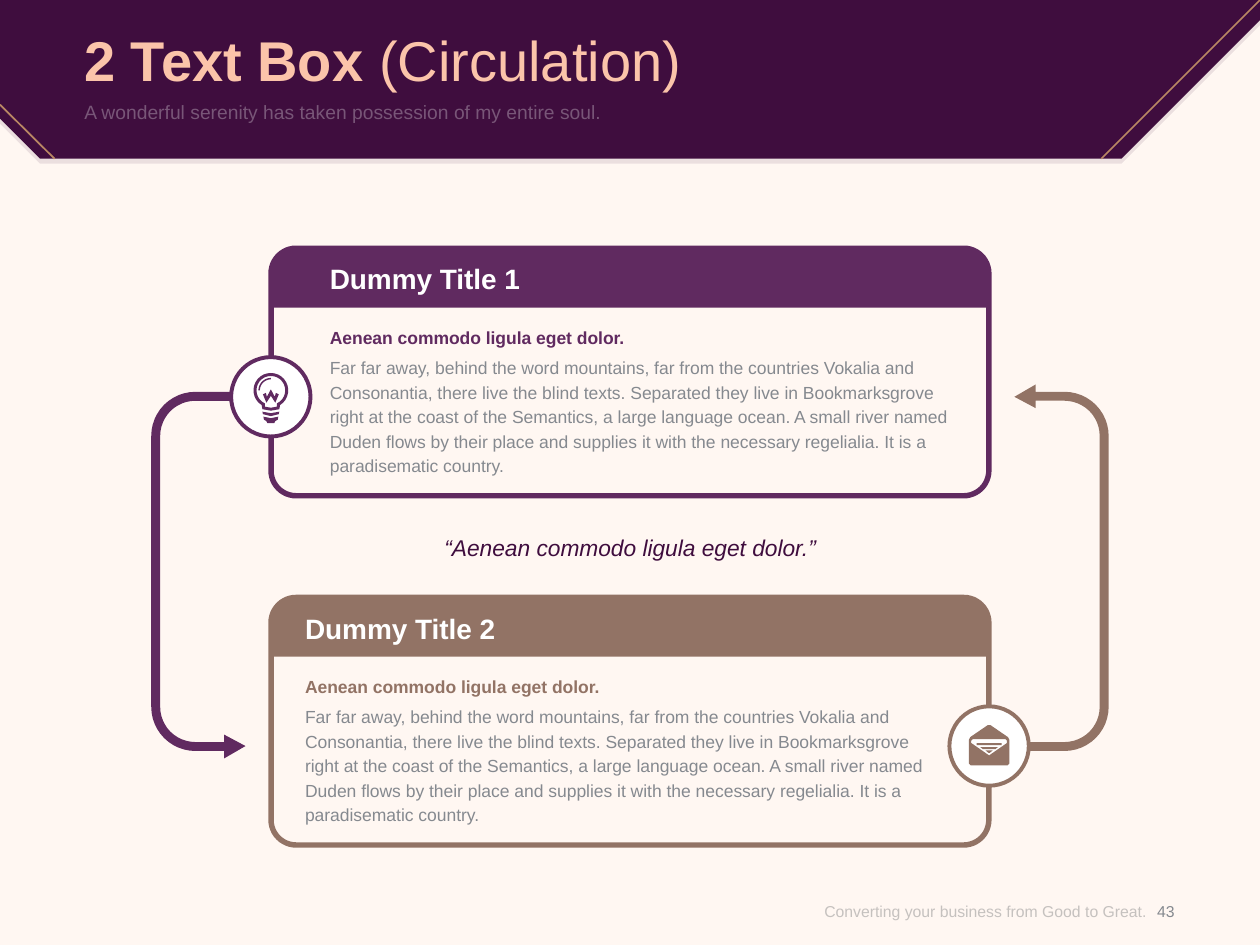
import math
from lxml import etree
from pptx import Presentation
from pptx import util as u
from pptx.dml.color import RGBColor
from pptx.enum import shapes, text
from pptx.oxml.ns import qn

PLUM, PURPLE, BROWN = RGBColor(0x3F, 0x0D, 0x3E), RGBColor(0x60, 0x2A, 0x60), RGBColor(0x92, 0x73, 0x65)
PEACH, GOLD, CREAM = RGBColor(0xFB, 0xC4, 0xAA), RGBColor(0xB9, 0x87, 0x63), RGBColor(0xFF, 0xF7, 0xF2)
GREY, FOOTER_GREY, WHITE = RGBColor(0x85, 0x89, 0x8F), RGBColor(0x8C, 0x8C, 0x8C), RGBColor(0xFF, 0xFF, 0xFF)
WIDTH, HEIGHT = 25.4, 19.05  # all lengths in cm


def arc(radius, start, end, cy=0.0, steps=24):
    """Points on a circle around (0, cy), angles in degrees, clockwise from the right."""
    angles = [math.radians(start + (end - start) * i / steps) for i in range(steps + 1)]
    return [(radius * math.cos(a), cy + radius * math.sin(a)) for a in angles]


def mirrored(right_side):
    """Close a symmetric contour from the points of its right half."""
    return right_side + [(-x, y) for x, y in reversed(right_side)]


# Content
LEAD = "Aenean commodo ligula eget dolor."
BODY = ("Far far away, behind the word mountains, far from the countries Vokalia and Consonantia, "
        "there live the blind texts. Separated they live in Bookmarksgrove right at the coast of the "
        "Semantics, a large language ocean. A small river named Duden flows by their place and supplies "
        "it with the necessary regelialia. It is a paradisematic country.")

BULB_ICON = [
    arc(0.35, 122, 418, -0.13) + [(0.17, 0.25), (0, 0.28), (-0.17, 0.25)],
    arc(0.29, 115, 425, -0.13) + [(0.12, 0.2), (0, 0.22), (-0.12, 0.2)],
    mirrored([(0, 0.33), (0.17, 0.3), (0.16, 0.35), (0, 0.39)]),
    mirrored([(0, 0.43), (0.15, 0.4), (0.14, 0.46), (0.09, 0.49), (0.07, 0.53)]),
    mirrored([(0, -0.15), (0.08, 0), (0.1, -0.08), (0.16, -0.05), (0.09, 0.12), (0, -0.02)]),
    arc(0.25, 180, 270, -0.13) + arc(0.22, 270, 180, -0.13),
]
MAIL_ICON = [
    mirrored([(0.03, -0.42), (0.38, -0.18), (0.41, -0.12), (0.41, 0.35), (0.37, 0.39)]),
    mirrored([(0.33, -0.14), (0.36, -0.11), (0.36, -0.06), (0, 0.19)]),
    mirrored([(0.25, -0.06), (0.25, -0.02)]),
    mirrored([(0.18, 0.02), (0.13, 0.06)]),
    mirrored([(0.07, 0.09), (0.01, 0.14)]),
]
CARDS = [
    {"title": "Dummy Title 1", "colour": PURPLE, "top": 4.95, "text_left": 6.65,
     "badge_x": 5.46, "icon": BULB_ICON},
    {"title": "Dummy Title 2", "colour": BROWN, "top": 11.99, "text_left": 6.15,
     "badge_x": 19.94, "icon": MAIL_ICON},
]
CARD_LEFT, CARD_RIGHT, CARD_HEIGHT, HEAD_HEIGHT = 5.41, 19.99, 5.1, 1.25
BORDER, CARD_RADIUS, BADGE_SIZE, BADGE_DROP = 0.11, 0.56, 1.6, 3.05

HEADER = [(0, 0), (25.4, 0), (25.4, 0.41), (22.61, 3.2), (0.81, 3.2), (0, 2.39)]
HEADER_LINES = [(25.4, 0, 22.2, 3.2), (0, 2.11, 1.1, 3.2)]
# Corners of the left arrow: x, y, radius; the right one is its half turn
ARROW = [(4.65, 7.9, 0), (3.05, 7.9, 0.89), (3.05, 15.14, 0.89), (4.52, 15.14, 0), (4.52, 15.29, 0),
         (4.95, 15.04, 0), (4.52, 14.81, 0), (4.52, 14.96, 0), (3.23, 14.96, 0.71),
         (3.23, 8.08, 0.71), (4.65, 8.08, 0)]
ARROW_TURN_Y = 23.04

prs = Presentation()
prs.slide_width, prs.slide_height = u.Cm(WIDTH), u.Cm(HEIGHT)
slide = prs.slides.add_slide(prs.slide_layouts[6])
slide.background.fill.solid()
slide.background.fill.fore_color.rgb = CREAM


def set_alpha(fill, percent):
    colour = fill._xPr.find(qn("a:solidFill"))[0]
    etree.SubElement(colour, qn("a:alpha"), val=str(percent * 1000))


def rounded(corners):
    """Turn corners (x, y, radius) into points, bending the rounded ones."""
    points = []
    for i, (x, y, radius) in enumerate(corners):
        if not radius:
            points.append((x, y))
            continue
        units = []
        for nx, ny, _ in (corners[i - 1], corners[(i + 1) % len(corners)]):
            length = math.hypot(nx - x, ny - y)
            units.append(((nx - x) / length, (ny - y) / length))
        (ax, ay), (bx, by) = units
        for step in range(13):
            t = math.pi / 2 * step / 12
            a, b = radius * (1 - math.sin(t)), radius * (1 - math.cos(t))
            points.append((x + ax * a + bx * b, y + ay * a + by * b))
    return points


def add_outline(contours, colour, dx=0.0, dy=0.0, alpha=None):
    contours = [[(u.Cm(x + dx), u.Cm(y + dy)) for x, y in points] for points in contours]
    builder = slide.shapes.build_freeform(*contours[0][0])
    for i, points in enumerate(contours):
        if i:
            builder.move_to(*points[0])
        builder.add_line_segments(points[1:], close=True)
    shape = builder.convert_to_shape()
    shape.shadow.inherit = False
    shape.fill.solid()
    shape.fill.fore_color.rgb = colour
    shape.line.fill.background()
    if alpha:
        set_alpha(shape.fill, alpha)


def add_text(box, runs, colour, size, alpha=None, align=text.PP_ALIGN.LEFT,
             anchor=text.MSO_ANCHOR.TOP, spacing=None):
    """Each run is its wording and a dict of extra font values."""
    frame = slide.shapes.add_textbox(*map(u.Cm, box)).text_frame
    frame_format = {"word_wrap": True, "vertical_anchor": anchor, "margin_left": 0,
                    "margin_right": 0, "margin_top": 0, "margin_bottom": 0}
    for key, value in frame_format.items():
        setattr(frame, key, value)
    paragraph = frame.paragraphs[0]
    paragraph.alignment = align
    if spacing:
        paragraph.line_spacing = u.Pt(spacing)
    for wording, extra in runs:
        run = paragraph.add_run()
        run.text = wording
        for key, value in {"name": "Arial", "size": u.Pt(size), **extra}.items():
            setattr(run.font, key, value)
        run.font.color.rgb = colour
        if alpha:
            set_alpha(run.font.fill, alpha)


# Header band with its soft shadow and thin gold lines
add_outline([HEADER], PLUM, dy=0.1, alpha=10)
add_outline([HEADER], PLUM)
for ends in HEADER_LINES:
    line = slide.shapes.add_connector(shapes.MSO_CONNECTOR.STRAIGHT, *map(u.Cm, ends))
    line.line.color.rgb = GOLD
    line.line.width = u.Pt(1)
    etree.SubElement(line._element.spPr, qn("a:effectLst"))

# Circulation arrows
add_outline([rounded(ARROW)], PURPLE)
add_outline([rounded([(WIDTH - x, ARROW_TURN_Y - y, r) for x, y, r in ARROW])], BROWN)

# Cards: frame, badge, icon and text
for card in CARDS:
    top, colour = card["top"], card["colour"]
    bottom, badge_y = top + CARD_HEIGHT, top + BADGE_DROP
    inner_left, inner_right, inner_radius = CARD_LEFT + BORDER, CARD_RIGHT - BORDER, CARD_RADIUS - BORDER
    frame_edge = [(x, y, CARD_RADIUS) for x, y in ((CARD_LEFT, top), (CARD_RIGHT, top),
                                                   (CARD_RIGHT, bottom), (CARD_LEFT, bottom))]
    window = [(inner_left, top + HEAD_HEIGHT, 0), (inner_right, top + HEAD_HEIGHT, 0),
              (inner_right, bottom - BORDER, inner_radius), (inner_left, bottom - BORDER, inner_radius)]
    add_outline([rounded(frame_edge), rounded(window)], colour)

    badge = slide.shapes.add_shape(
        shapes.MSO_SHAPE.OVAL, u.Cm(card["badge_x"] - BADGE_SIZE / 2), u.Cm(badge_y - BADGE_SIZE / 2),
        u.Cm(BADGE_SIZE), u.Cm(BADGE_SIZE))
    badge.shadow.inherit = False
    badge.fill.solid()
    badge.fill.fore_color.rgb = WHITE
    badge.line.color.rgb = colour
    badge.line.width = u.Pt(2.25)
    add_outline(card["icon"], colour, card["badge_x"], badge_y)

    for drop, height, wording, ink, size, bold, spacing in (
            (0.33, 0.69, card["title"], WHITE, 16, True, None),
            (1.57, 0.46, LEAD, colour, 10, True, 14),
            (2.18, 2.49, BODY, GREY, 10, False, 14)):
        add_text((card["text_left"], top + drop, 12.8, height), [(wording, {"bold": bold})],
                 ink, size, spacing=spacing)

# Quote, title, subtitle and footer
MIDDLE = text.MSO_ANCHOR.MIDDLE
add_text((6.6, 10.82, 12.2, 0.5), [(f"“{LEAD}”", {"italic": True})], PLUM, 13,
         align=text.PP_ALIGN.CENTER, spacing=14)
add_text((1.7, 0.36, 22, 1.65), [("2 Text Box ", {"bold": True}), ("(Circulation)", {"bold": False})],
         PEACH, 32, anchor=MIDDLE)
add_text((1.7, 2.03, 22, 0.99), [("A wonderful serenity has taken possession of my entire soul.", {})],
         WHITE, 11, alpha=30)
add_text((15.34, 17.68, 7.77, 1.37), [("Converting your business from Good to Great.", {})],
         FOOTER_GREY, 9, alpha=50, align=text.PP_ALIGN.RIGHT, anchor=MIDDLE)
add_text((22.91, 17.68, 1.19, 1.37), [("43", {})], GREY, 9, align=text.PP_ALIGN.CENTER, anchor=MIDDLE)

prs.save("out.pptx")
